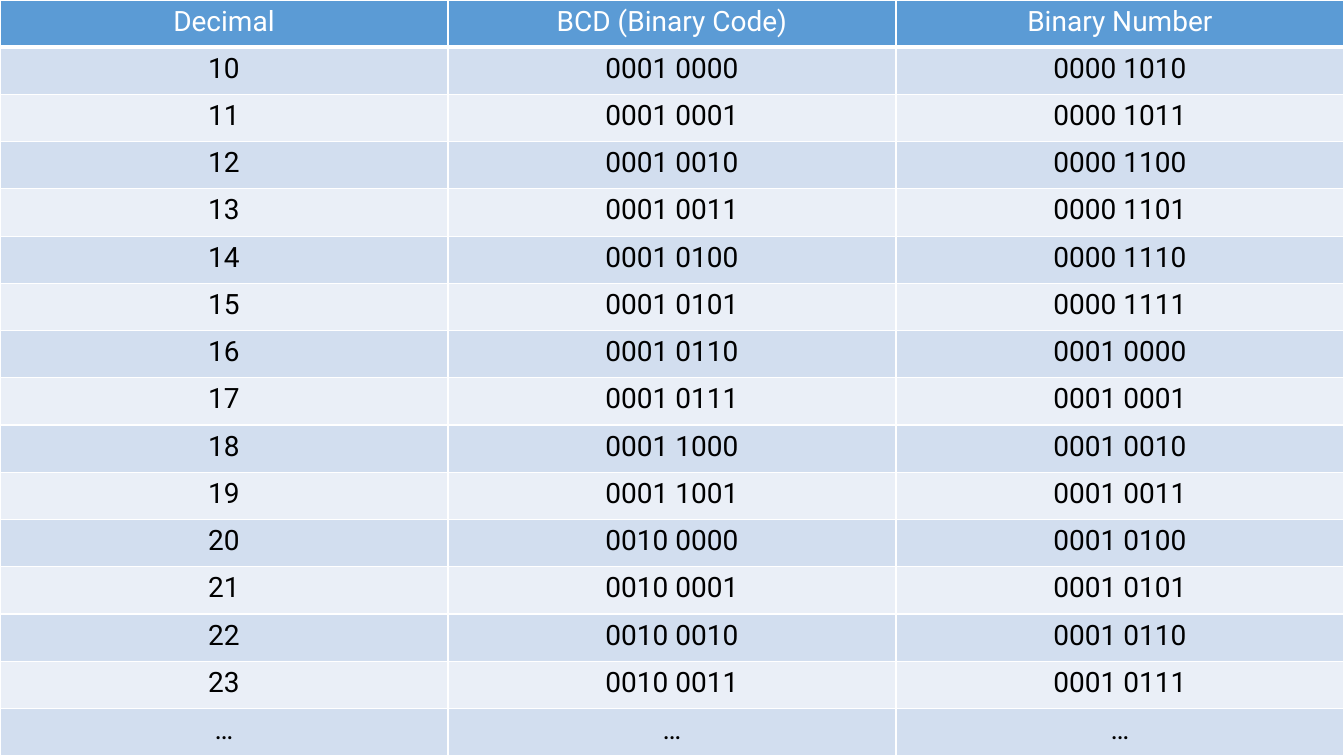
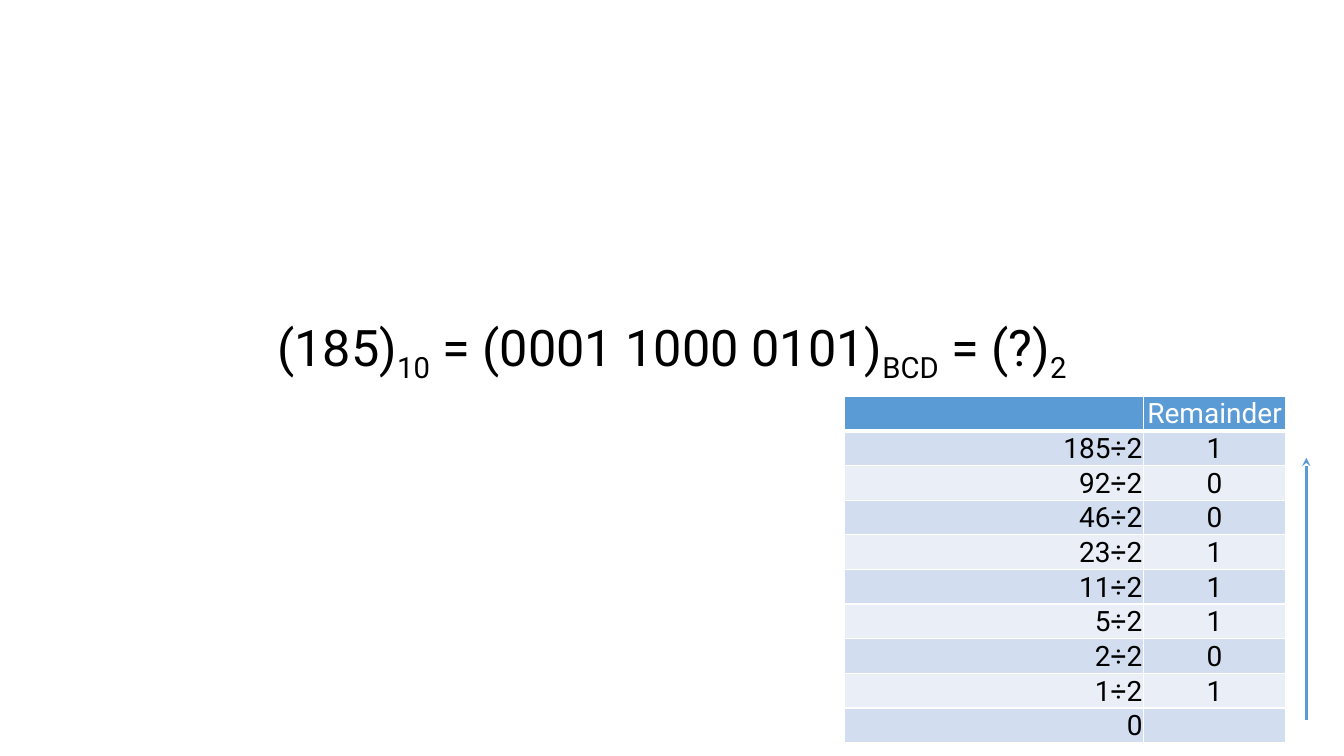
from pptx import Presentation
from pptx.dml.color import RGBColor
from pptx.enum.shapes import MSO_CONNECTOR as Link
from pptx.enum.text import MSO_ANCHOR as Anchor, PP_ALIGN as Align
from pptx.oxml import parse_xml
from pptx.oxml.ns import nsdecls
from pptx.util import Pt

# Shared look
WIDE, HIGH = 960, 540
FONT, SIZE = "Roboto", 20
BLUE, WHITE, BLACK = "5B9BD5", "FFFFFF", "000000"
BANDS = ("D2DEEF", "EAEFF7")
TIGHT = {"margin_left": Pt(0.72), "margin_top": Pt(0.72),
         "margin_right": Pt(0.72), "margin_bottom": Pt(0),
         "vertical_anchor": Anchor.BOTTOM}
ROOMY = {"margin_left": Pt(7.2), "margin_top": Pt(3.6),
         "margin_right": Pt(7.2), "margin_bottom": Pt(3.6),
         "vertical_anchor": Anchor.TOP}


def color(code):
    return RGBColor.from_string(code)


def format(item, values):
    for name, value in values.items():
        setattr(item, name, value)


def write(para, text, size, code, base=0):
    run = para.add_run()
    run.text = text
    format(run.font, {"name": FONT, "size": Pt(size)})
    run.font.color.rgb = color(code)
    if base:
        run._r.get_or_add_rPr().set("baseline", str(base * 1000))


def edge(cell, widths):
    """Draw white borders; widths maps each side to points."""
    props = cell._tc.get_or_add_tcPr()
    for side, width in widths.items():
        props.append(parse_xml(
            f'<a:ln{side} {nsdecls("a")} w="{Pt(width)}"><a:solidFill>'
            f'<a:srgbClr val="{WHITE}"/></a:solidFill></a:ln{side}>'))


def grid(slide, box, cols, rows, aligns, style):
    """Place a banded table; the first row is the header."""
    left, top, width, height = box
    table = slide.shapes.add_table(len(rows), len(cols), Pt(left), Pt(top),
                                   Pt(width), Pt(height)).table
    format(table, {"first_row": False, "horz_banding": False})
    for col, share in zip(table.columns, cols):
        col.width = Pt(width * share / sum(cols))
    for i, texts in enumerate(rows):
        table.rows[i].height = Pt(height / len(rows))
        head = i == 0
        for j, text in enumerate(texts):
            cell = table.cell(i, j)
            format(cell, style)
            edge(cell, {"L": 1, "R": 1, "T": 3 if i == 1 else 1,
                        "B": 3 if head else 1})
            cell.fill.solid()
            cell.fill.fore_color.rgb = color(BLUE if head else BANDS[(i - 1) % 2])
            para = cell.text_frame.paragraphs[0]
            para.alignment = Align.CENTER if head else aligns[j]
            if text:
                write(para, text, SIZE, WHITE if head else BLACK)


def nibbles(digits):
    return " ".join(f"{int(digit):04b}" for digit in digits)


def codes(slide, box):
    """Compare decimal, BCD and binary values."""
    rows = [("Decimal", "BCD (Binary Code)", "Binary Number")]
    rows += [(str(n), nibbles(str(n)), nibbles(str(d) for d in divmod(n, 16)))
             for n in range(10, 24)]
    rows.append(("…",) * 3)
    grid(slide, box, (1, 1, 1), rows, (Align.CENTER,) * 3, ROOMY)


def formula(slide, box, value):
    """Write the question, with each number base as a subscript."""
    frame = slide.shapes.add_textbox(*map(Pt, box)).text_frame
    frame.word_wrap = True
    para = frame.paragraphs[0]
    para.alignment = Align.CENTER
    for text, base in ((f"({value})", "10"),
                       (f" = ({nibbles(str(value))})", "BCD"),
                       (" = (?)", "2")):
        write(para, text, 36, BLACK)
        write(para, base, 36, BLACK, -25)


def division(slide, box, value):
    """List repeated divisions by two, with an arrow for reading upwards."""
    left, top, width, height = box
    rows = [("", "Remainder")]
    while value:
        rows.append((f"{value}÷2", str(value % 2)))
        value //= 2
    rows.append(("0", ""))
    grid(slide, box, (2.96, 1.41), rows, (Align.RIGHT, Align.CENTER), TIGHT)

    # Reading direction
    x = left + width + 14.7
    arrow = slide.shapes.add_connector(Link.STRAIGHT, Pt(x), Pt(top + height - 16.5),
                                       Pt(x), Pt(top + 44))
    arrow.line.width = Pt(2)
    arrow.line.color.rgb = color(BLUE)
    arrow.line._get_or_add_ln().append(
        parse_xml(f'<a:tailEnd {nsdecls("a")} type="stealth"/>'))
    arrow._element.spPr.append(parse_xml(f'<a:effectLst {nsdecls("a")}/>'))


def main():
    deck = Presentation()
    format(deck, {"slide_width": Pt(WIDE), "slide_height": Pt(HIGH)})
    blank = deck.slide_layouts.get_by_name("Blank")

    codes(deck.slides.add_slide(blank), (0, 0, WIDE, HIGH))

    slide = deck.slides.add_slide(blank)
    formula(slide, (0, 222, WIDE, 51), 185)
    division(slide, (603.4, 283, 315, 247.6), 185)

    deck.save("out.pptx")


if __name__ == "__main__":
    main()
